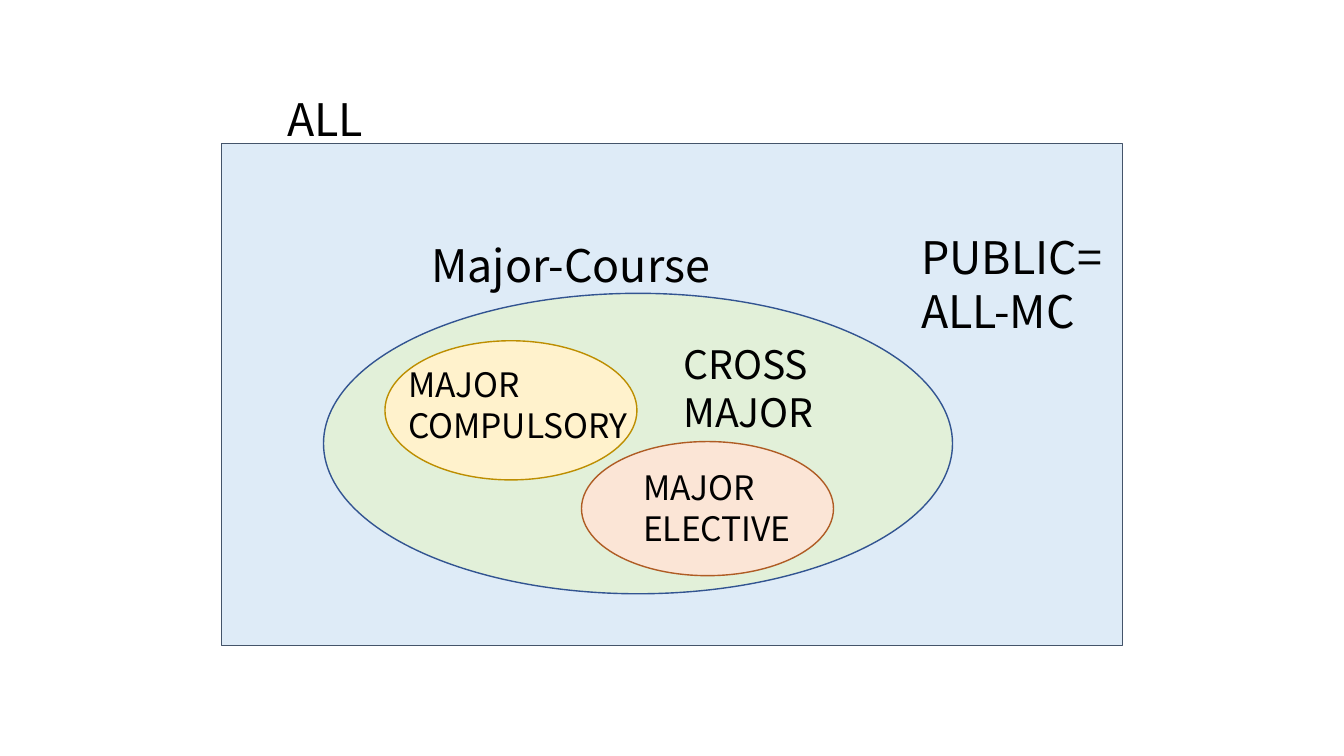
from pptx import Presentation
from pptx.dml.color import RGBColor
from pptx.enum.shapes import MSO_SHAPE as Preset
from pptx.util import Pt

BLACK = RGBColor(0x00, 0x00, 0x00)
PALE_BLUE = RGBColor(0xDE, 0xEB, 0xF7)
SLATE = RGBColor(0x44, 0x54, 0x6A)
PALE_GREEN = RGBColor(0xE2, 0xF0, 0xD9)
BLUE = RGBColor(0x32, 0x54, 0x91)
PALE_YELLOW = RGBColor(0xFF, 0xF2, 0xCC)
GOLD = RGBColor(0xBD, 0x8E, 0x00)
PALE_ORANGE = RGBColor(0xFB, 0xE5, 0xD6)
BROWN = RGBColor(0xAF, 0x5C, 0x24)

FONT = "Noto Sans CJK SC"
LINE_HEIGHT = 1.22
INSET = 3.6

COURSE_SETS = [
    (Preset.RECTANGLE, (158.4, 102.2, 643, 358.6), PALE_BLUE, SLATE, 0.5),
    (Preset.OVAL, (231.1, 209.5, 449.3, 214.6), PALE_GREEN, BLUE, 1),
    (Preset.OVAL, (275, 243.4, 180, 99.4), PALE_YELLOW, GOLD, 1),
    (Preset.OVAL, (415.4, 315.4, 180, 95.8), PALE_ORANGE, BROWN, 1),
]
LABELS = [
    (["Major-Course"], (301, 165.6, 272.9), 32, 1),
    (["ALL"], (198, 61.2, 159.1), 32, 1),
    (["PUBLIC=", "ALL-MC"], (650.9, 159.8, 159.1), 32, 2),
    (["CROSS MAJOR"], (481, 239, 159.1), 28, 2),
    (["MAJOR COMPULSORY"], (284.4, 255.6, 181.4), 24, 2),
    (["MAJOR ELECTIVE"], (452.2, 329.8, 181.4), 24, 2),
]


def add_label(slide, paragraphs, left, top, width, size, lines):
    height = lines * size * LINE_HEIGHT + 2 * INSET
    box = slide.shapes.add_textbox(Pt(left), Pt(top), Pt(width), Pt(height))
    frame = box.text_frame
    frame.word_wrap = True
    frame.text = "\n".join(paragraphs)
    for paragraph in frame.paragraphs:
        paragraph.line_spacing = Pt(size * LINE_HEIGHT)
        font = paragraph.runs[0].font
        font.name = FONT
        font.size = Pt(size)
        font.color.rgb = BLACK


presentation = Presentation()
presentation.slide_width = Pt(960)
presentation.slide_height = Pt(540)
slide = presentation.slides.add_slide(presentation.slide_layouts[6])

for preset, bounds, fill, line, weight in COURSE_SETS:
    shape = slide.shapes.add_shape(preset, *map(Pt, bounds))
    shape.shadow.inherit = False
    shape.fill.solid()
    shape.fill.fore_color.rgb = fill
    shape.line.color.rgb = line
    shape.line.width = Pt(weight)

for paragraphs, (left, top, width), size, lines in LABELS:
    add_label(slide, paragraphs, left, top, width, size=size, lines=lines)

presentation.save("out.pptx")
